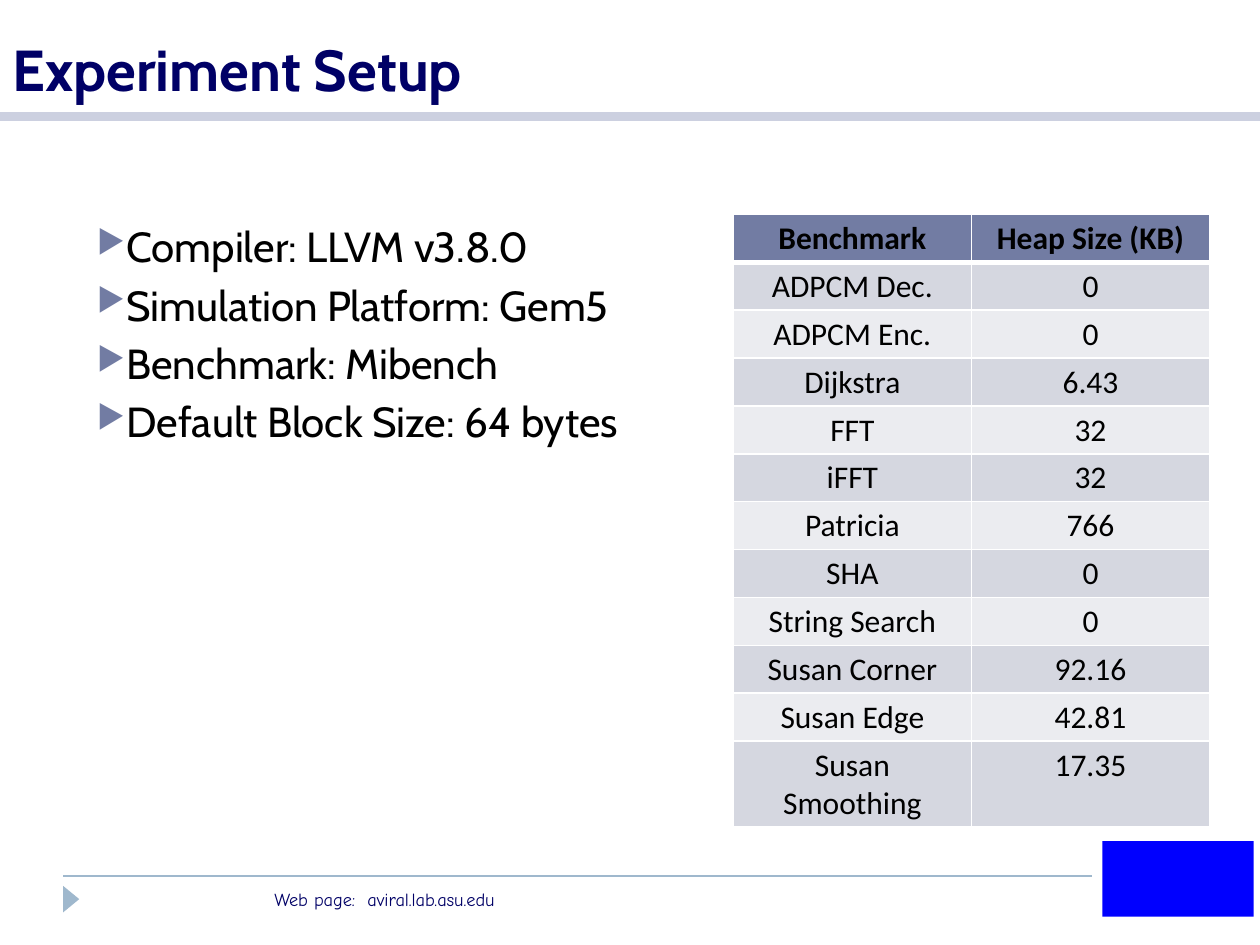
from lxml.etree import SubElement
from pptx import Presentation
from pptx.dml.color import RGBColor
from pptx.enum.shapes import MSO_CONNECTOR, MSO_SHAPE
from pptx.enum.text import MSO_ANCHOR, PP_ALIGN
from pptx.oxml.ns import qn
from pptx.util import Inches, Pt

WIDE, HIGH = 10, 7.5
NAVY = RGBColor(0x00, 0x00, 0x66)
BLACK = RGBColor(0x00, 0x00, 0x00)
WHITE = RGBColor(0xFF, 0xFF, 0xFF)
BLUE = RGBColor(0x00, 0x00, 0xFF)
SLATE = RGBColor(0x72, 0x7C, 0xA3)
MIST = RGBColor(0xCC, 0xD0, 0xE0)
STEEL = RGBColor(0x9F, 0xB8, 0xCD)
BANDS = [RGBColor(0xEB, 0xEC, 0xF0), RGBColor(0xD5, 0xD7, 0xE0)]

POINTS = [
    "Compiler: LLVM v3.8.0",
    "Simulation Platform: Gem5",
    "Benchmark: Mibench",
    "Default Block Size: 64 bytes",
]
ROWS = [
    ("Benchmark", "Heap Size (KB)"),
    ("ADPCM Dec.", "0"),
    ("ADPCM Enc.", "0"),
    ("Dijkstra", "6.43"),
    ("FFT", "32"),
    ("iFFT", "32"),
    ("Patricia", "766"),
    ("SHA", "0"),
    ("String Search", "0"),
    ("Susan Corner", "92.16"),
    ("Susan Edge", "42.81"),
    ("Susan Smoothing", "17.35"),
]


def place(x, y, w, h):
    """Turn shares of the slide's size into lengths."""
    return [Inches(x * WIDE), Inches(y * HIGH), Inches(w * WIDE), Inches(h * HIGH)]


def style(para, name, size, color, bold=False):
    font = para.font
    font.name, font.size, font.bold = name, Pt(size), bold
    font.color.rgb = color


def add_rule(slide, left, right, y, color, width):
    top = Inches(y * HIGH)
    rule = slide.shapes.add_connector(
        MSO_CONNECTOR.STRAIGHT, Inches(left * WIDE), top, Inches(right * WIDE), top)
    rule.line.color.rgb = color
    rule.line.width = Pt(width)
    SubElement(rule._element.spPr, qn("a:effectLst"))


def add_mark(slide, kind, box, color, turn=0):
    mark = slide.shapes.add_shape(kind, *place(*box))
    mark.shadow.inherit = False
    mark.fill.solid()
    mark.fill.fore_color.rgb = color
    mark.line.fill.background()
    mark.rotation = turn


def add_text(slide, box, lines, name, size, color, bold=False,
             anchor=MSO_ANCHOR.TOP, bullet=False):
    frame = slide.shapes.add_textbox(*place(*box)).text_frame
    frame.word_wrap = True
    frame.vertical_anchor = anchor
    for i, line in enumerate(lines):
        para = frame.add_paragraph() if i else frame.paragraphs[0]
        para.text = line
        if i:
            para.space_before = Pt(4.5)
        if bullet:
            add_bullet(para)
        style(para, name, size, color, bold)


def add_bullet(para):
    props = para._p.get_or_add_pPr()
    step = Inches(0.22)
    props.set("marL", str(step))
    props.set("indent", str(-step))
    tint = SubElement(props, qn("a:buClr"))
    SubElement(tint, qn("a:srgbClr"), val=str(SLATE))
    SubElement(props, qn("a:buSzPct"), val="76000")
    SubElement(props, qn("a:buChar"), char="▶")


def add_edge(cell, side, width):
    edge = SubElement(cell._tc.get_or_add_tcPr(), qn("a:" + side), w=str(Pt(width)))
    fill = SubElement(edge, qn("a:solidFill"))
    SubElement(fill, qn("a:srgbClr"), val=str(WHITE))


def fill_cell(cell, text, row):
    head = row == 0
    cell.margin_left = cell.margin_right = Inches(0.07)
    cell.margin_top = cell.margin_bottom = Inches(0.04)
    # Borders come before the fill in the cell's XML
    for side in ("lnL", "lnR", "lnT", "lnB"):
        thick = (head and side == "lnB") or (row == 1 and side == "lnT")
        add_edge(cell, side, 3 if thick else 1)
    cell.fill.solid()
    cell.fill.fore_color.rgb = SLATE if head else BANDS[row % 2]
    para = cell.text_frame.paragraphs[0]
    para.text = text
    para.alignment = PP_ALIGN.CENTER
    style(para, "Calibri", 18, BLACK, head)


def add_grid(slide, box, rows):
    grid = slide.shapes.add_table(len(rows), len(rows[0]), *place(*box)).table
    for r, row in enumerate(rows):
        for c, text in enumerate(row):
            fill_cell(grid.cell(r, c), text, r)


def main():
    deck = Presentation()
    deck.slide_width, deck.slide_height = Inches(WIDE), Inches(HIGH)
    slide = deck.slides.add_slide(deck.slide_layouts[6])

    # Footer, with a plain block in the corner
    add_rule(slide, 0.05, 0.867, 0.927, STEEL, 1)
    add_mark(slide, MSO_SHAPE.ISOSCELES_TRIANGLE,
             (0.046, 0.943, 0.021, 0.017), STEEL, 90)
    add_text(slide, (0.208, 0.933, 0.375, 0.037),
             ["Web page:  aviral.lab.asu.edu"], "Comic Neue", 10.5, NAVY)
    add_mark(slide, MSO_SHAPE.RECTANGLE, (0.875, 0.89, 0.12, 0.08), BLUE)

    # Title and its rule
    add_rule(slide, 0, 1, 0.123, MIST, 5)
    add_text(slide, (0, 0, 1, 0.116), ["Experiment Setup"], "Cabin", 33, NAVY,
             bold=True, anchor=MSO_ANCHOR.BOTTOM)

    # Setup points and heap sizes
    add_text(slide, (0.067, 0.227, 0.482, 0.565), POINTS, "Cabin", 24, BLACK,
             bullet=True)
    add_grid(slide, (0.582, 0.227, 0.378, 0.5), ROWS)

    deck.save("out.pptx")


if __name__ == "__main__":
    main()
